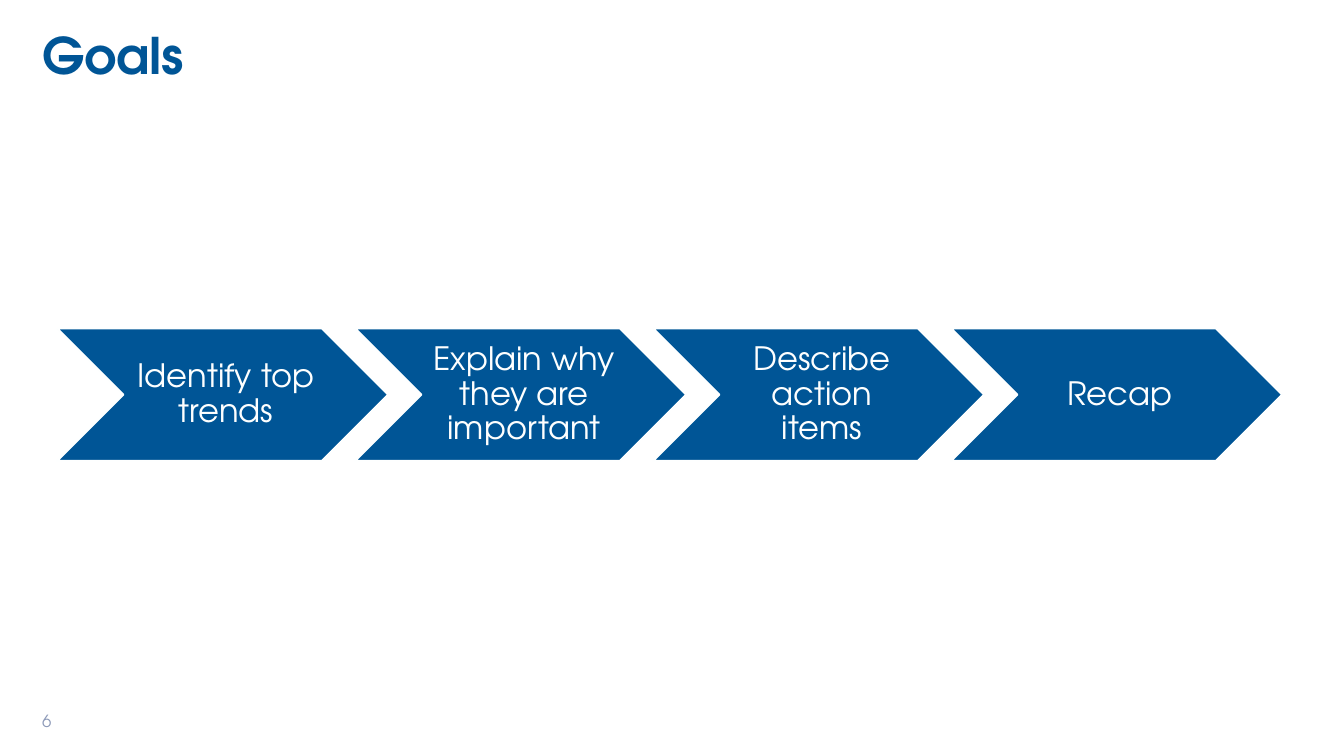
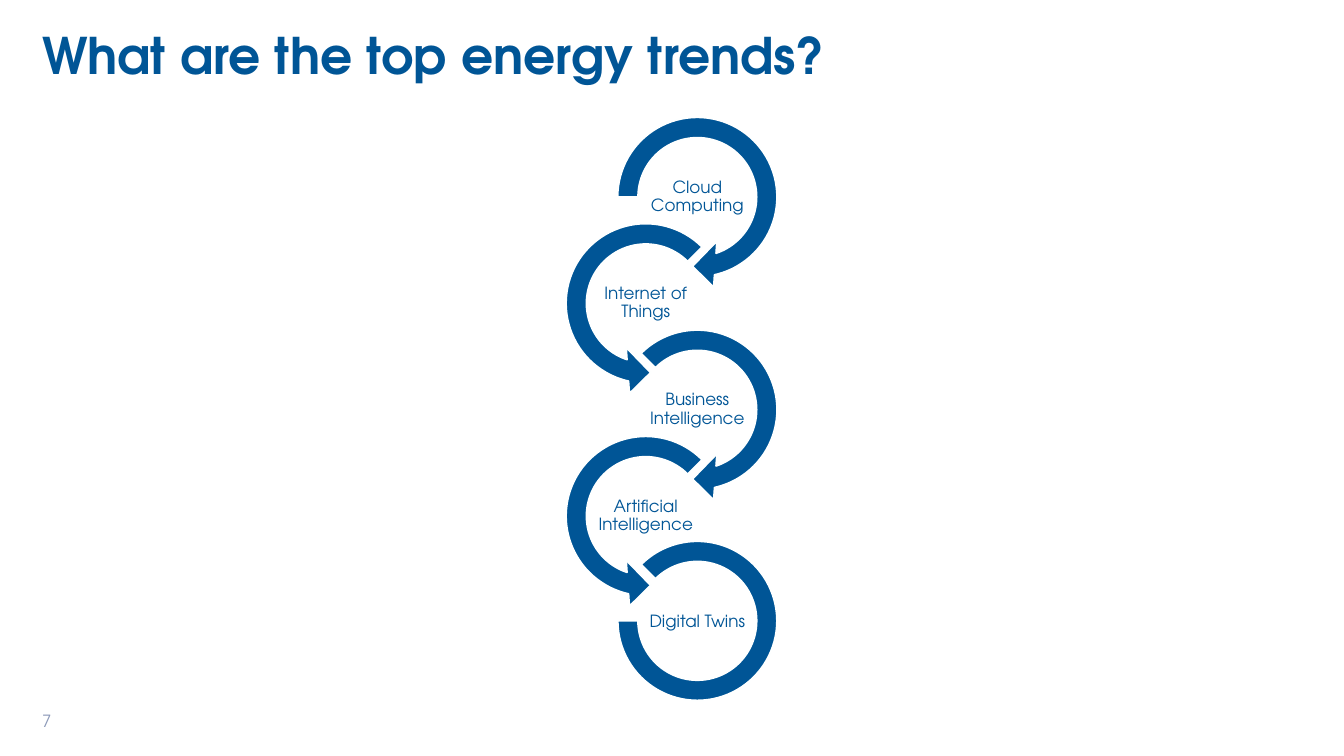
from pptx import Presentation
from pptx.dml.color import RGBColor
from pptx.enum import shapes, text
from pptx.util import Cm, Pt

# Content
GOALS = ["Identify top trends", "Explain why they are important",
         "Describe action items", "Recap"]
TRENDS = ["Cloud Computing", "Internet of Things", "Business Intelligence",
          "Artificial Intelligence", "Digital Twins"]

# Shared style
COLORS = {"blue": "005596", "white": "FEFFFF", "number": "8C99B8"}
FONT = "TeX Gyre Adventor"
KIND = shapes.MSO_SHAPE
ALIGN = text.PP_ALIGN

# Ring pieces: preset shape and its adjustments
FIRST_RING = (KIND.CIRCULAR_ARROW, (0.11, 11.42, 45, 108, 0.125))
RIGHT_RING = (KIND.CIRCULAR_ARROW, (0.11, 11.42, 45, 135, 0.125))
LEFT_RING = (KIND.LEFT_CIRCULAR_ARROW, (0.11, 11.42, 63, 189, 0.125))
LAST_RING = (KIND.BLOCK_ARC, (135, 108, 0.127))


def color(name):
    return RGBColor.from_string(COLORS[name])


def write(shape, words, size, ink="blue", bold=False, align=ALIGN.CENTER,
          spacing=0.9, insets=(0.25, 0.13, 0.25, 0.13)):
    frame = shape.text_frame
    frame.word_wrap = True
    frame.auto_size = text.MSO_AUTO_SIZE.NONE
    frame.vertical_anchor = text.MSO_ANCHOR.MIDDLE
    (frame.margin_left, frame.margin_top,
     frame.margin_right, frame.margin_bottom) = map(Cm, insets)
    para = frame.paragraphs[0]
    para.alignment = align
    para.line_spacing = spacing
    span = para.add_run()
    span.text = words
    span.font.name = FONT
    span.font.size = Pt(size)
    span.font.bold = bold
    span.font.color.rgb = color(ink)


def add_box(page, words, left, top, width, height, size, **style):
    box = page.shapes.add_textbox(Cm(left), Cm(top), Cm(width), Cm(height))
    write(box, words, size, **style)


def add_solid(page, kind, left, top, width, height, adjustments=()):
    shape = page.shapes.add_shape(kind, Cm(left), Cm(top), Cm(width), Cm(height))
    shape.shadow.inherit = False
    shape.fill.solid()
    shape.fill.fore_color.rgb = color("blue")
    shape.line.color.rgb = color("white")
    shape.line.width = Pt(1.25)
    for index, value in enumerate(adjustments):
        shape.adjustments[index] = value
    return shape


def add_page(deck, title, number):
    page = deck.slides.add_slide(deck.slide_layouts[5])
    heading = page.shapes.title
    heading.left, heading.top = Cm(0.81), Cm(0.46)
    heading.width, heading.height = Cm(32.3), Cm(1.83)
    write(heading, title, 36, bold=True, align=ALIGN.LEFT, spacing=1.0)
    add_box(page, str(number), 0.81, 17.65, 2.13, 1.02, 12, ink="number",
            align=ALIGN.LEFT, spacing=1.0)
    return page


def add_goals(page):
    left, top, width, height, step = 1.45, 8.28, 8.33, 3.33, 7.51
    for index, goal in enumerate(GOALS):
        chevron = add_solid(page, KIND.CHEVRON, left + index * step, top,
                            width, height)
        write(chevron, goal, 23, ink="white", insets=(0.25, 0.08, 0.08, 0.08))


def add_trends(page):
    columns, top, step = (15.24, 13.94), 2.63, 2.68
    ring_size, arc_size = 4.67, 4.01
    for index, trend in enumerate(TRENDS):
        x, y = columns[index % 2], top + index * step
        if index == len(TRENDS) - 1:
            kind, adjustments = LAST_RING
            add_solid(page, kind, x + 0.33, y + 0.29, arc_size, arc_size,
                      adjustments)
        else:
            kind, adjustments = (FIRST_RING if index == 0 else
                                 (RIGHT_RING, LEFT_RING)[index % 2])
            add_solid(page, kind, x, y, ring_size, ring_size, adjustments)
        add_box(page, trend, x + 1.04, y + 1.68, 2.59, 1.3, 12,
                insets=(0.03, 0.03, 0.03, 0.03))


def main():
    deck = Presentation()
    deck.slide_width, deck.slide_height = Cm(33.87), Cm(19.05)
    add_goals(add_page(deck, "Goals", 6))
    add_trends(add_page(deck, "What are the top energy trends?", 7))
    deck.save("out.pptx")


if __name__ == "__main__":
    main()
